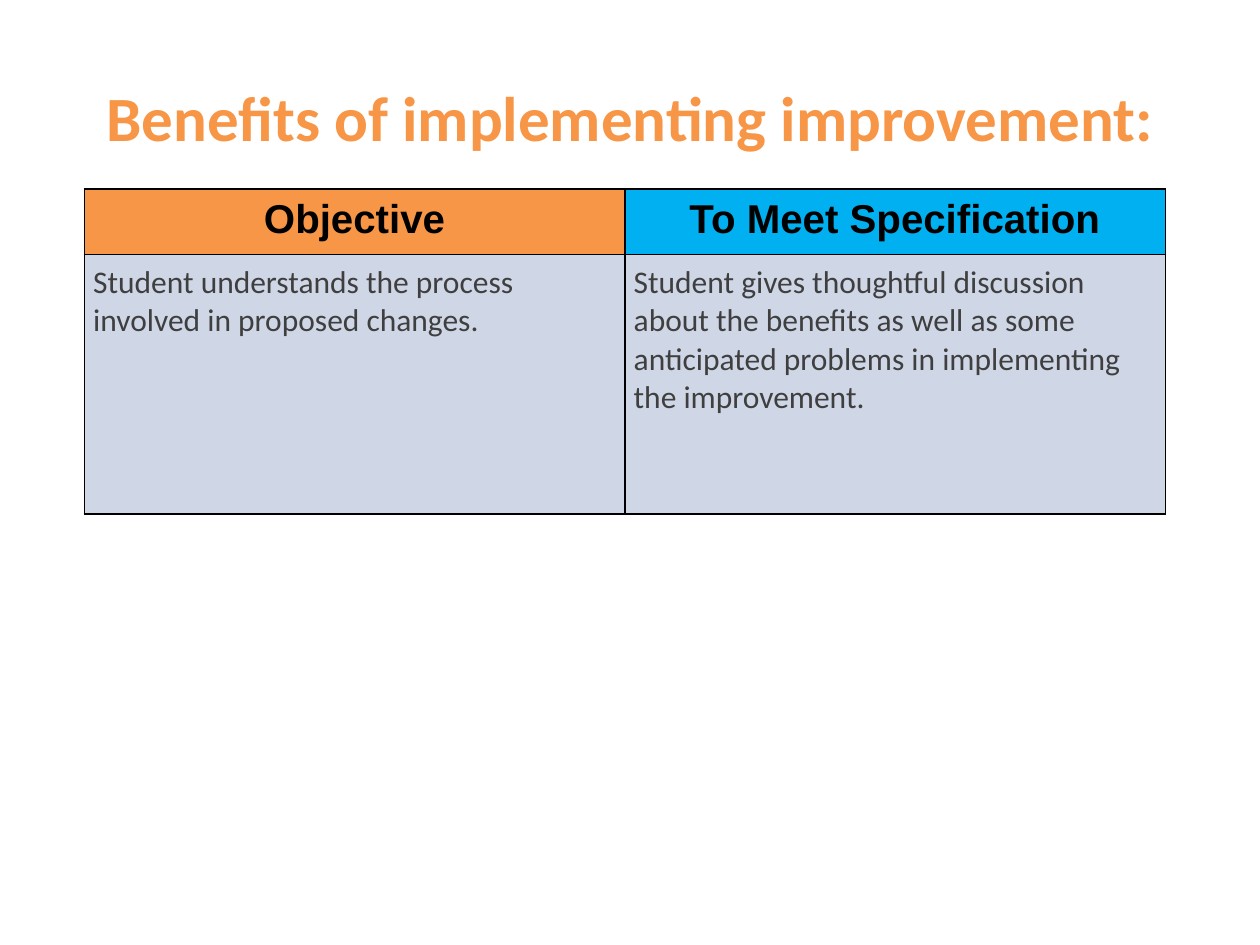
from lxml.etree import SubElement
from pptx import Presentation
from pptx.dml.color import RGBColor
from pptx.enum.text import MSO_ANCHOR, PP_ALIGN
from pptx.oxml.ns import qn
from pptx.util import Inches, Pt

# Content
TITLE = "Benefits of implementing improvement:"
HEADINGS = ["Objective", "To Meet Specification"]
CRITERIA = [
    "Student understands the process involved in proposed changes.",
    "Student gives thoughtful discussion about the benefits as well as some "
    "anticipated problems in implementing the improvement.",
]
COLORS = {"orange": "F79646", "blue": "00B0F0", "pale": "CFD7E7",
          "black": "000000", "gray": "3F3F3F"}

# Layout in inches
SLIDE_W, SLIDE_H = 10, 7.5
TITLE_BOX = (0.05 * SLIDE_W, 0.04 * SLIDE_H, 0.9 * SLIDE_W, 1.25)
RUBRIC_LEFT, RUBRIC_TOP = 0.67, 0.2 * SLIDE_H
COLUMN_W = 4.29
ROW_HEIGHTS = [0.52, 2.06]

# Row styles: fills per column, then text and margins
ROWS = [
    dict(texts=HEADINGS, fills=["orange", "blue"], margins=(0.13, 0.06),
         align=PP_ALIGN.CENTER, font=("Arial", 23, "black", True)),
    dict(texts=CRITERIA, fills=["pale", "pale"], margins=(0.07, 0.07),
         align=PP_ALIGN.LEFT, font=("Calibri", 18, "gray", False)),
]


def write(frame, text, align, font):
    name, size, color, bold = font
    paragraph = frame.paragraphs[0]
    paragraph.text = text
    paragraph.alignment = align
    style = paragraph.runs[0].font
    style.name, style.size, style.bold = name, Pt(size), bold
    style.color.rgb = RGBColor.from_string(COLORS[color])


def add_borders(cell):
    properties = cell._tc.get_or_add_tcPr()
    for index, side in enumerate(("lnL", "lnR", "lnT", "lnB")):
        line = properties.makeelement(qn(f"a:{side}"), {"w": str(Pt(1))})
        fill = SubElement(line, qn("a:solidFill"))
        SubElement(fill, qn("a:srgbClr"), val=COLORS["black"])
        properties.insert(index, line)  # borders precede the fill


def main():
    deck = Presentation()
    deck.slide_width, deck.slide_height = Inches(SLIDE_W), Inches(SLIDE_H)
    slide = deck.slides.add_slide(deck.slide_layouts[6])

    # Title
    title = slide.shapes.add_textbox(*map(Inches, TITLE_BOX)).text_frame
    title.word_wrap = True
    title.vertical_anchor = MSO_ANCHOR.MIDDLE
    write(title, TITLE, PP_ALIGN.CENTER, ("Calibri", 36, "orange", True))

    # Rubric table
    rubric = slide.shapes.add_table(
        len(ROWS), len(HEADINGS), Inches(RUBRIC_LEFT), Inches(RUBRIC_TOP),
        Inches(COLUMN_W * len(HEADINGS)), Inches(sum(ROW_HEIGHTS))).table
    for column in rubric.columns:
        column.width = Inches(COLUMN_W)
    for r, (row, height) in enumerate(zip(ROWS, ROW_HEIGHTS)):
        rubric.rows[r].height = Inches(height)
        side, edge = map(Inches, row["margins"])
        for c, (text, fill) in enumerate(zip(row["texts"], row["fills"])):
            cell = rubric.cell(r, c)
            cell.margin_left = cell.margin_right = side
            cell.margin_top = cell.margin_bottom = edge
            cell.fill.solid()
            cell.fill.fore_color.rgb = RGBColor.from_string(COLORS[fill])
            add_borders(cell)
            write(cell.text_frame, text, row["align"], row["font"])

    deck.save("out.pptx")


if __name__ == "__main__":
    main()
